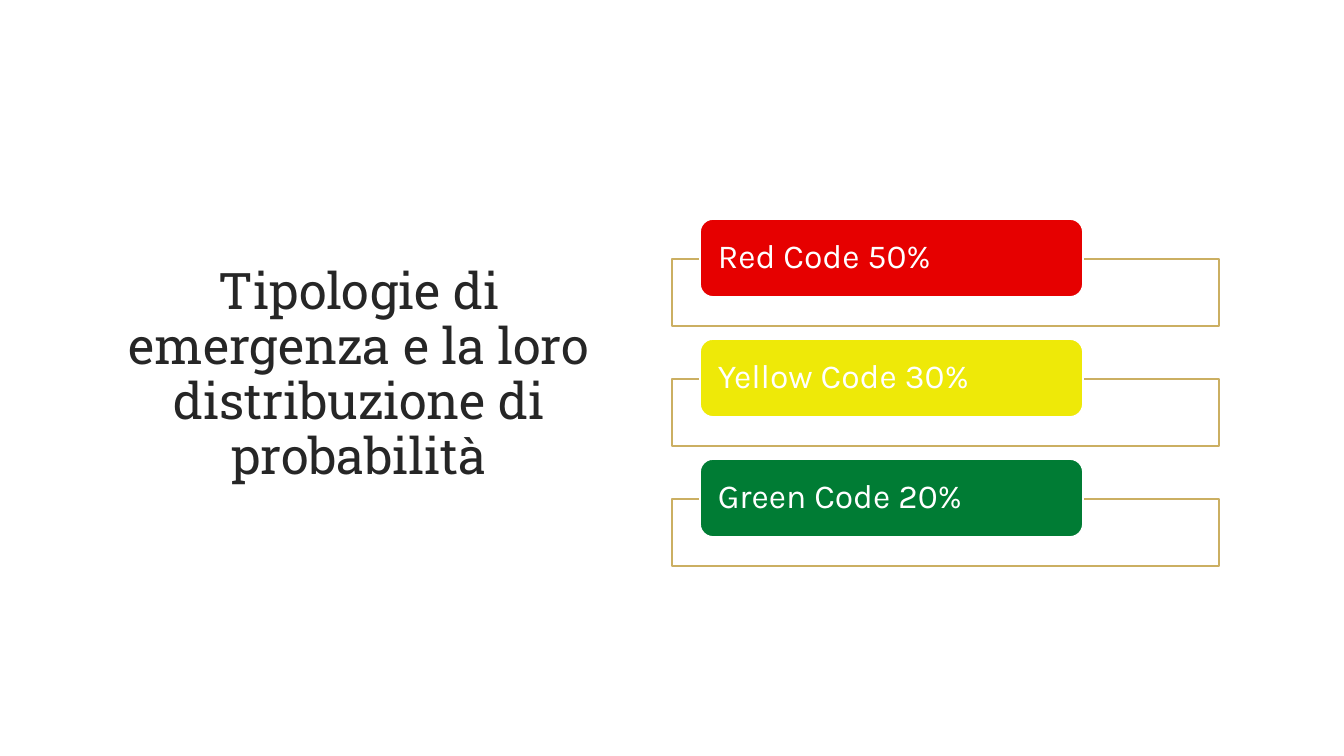
from pptx import Presentation
from pptx.dml.color import RGBColor
from pptx.enum.shapes import MSO_SHAPE as Shape
from pptx.enum.text import MSO_ANCHOR as Anchor, PP_ALIGN as Align
from pptx.oxml.ns import qn
from pptx.util import Pt
from lxml.etree import SubElement

PX = 914400 / 100.8
CODES = [
    ("Red Code 50%", "E60000"),
    ("Yellow Code 30%", "EEE908"),
    ("Green Code 20%", "007C34"),
]


def px(length):
    return round(length * PX)


def color(value):
    return RGBColor.from_string(value)


def style_text(para, size, font, value, align, spacing):
    para.font.size = Pt(size)
    para.font.name = font
    para.font.color.rgb = color(value)
    para.alignment = align
    para.line_spacing = spacing


def add_panel(page, kind, left, top, width, height, fill, line):
    panel = page.shapes.add_shape(kind, px(left), px(top), px(width), px(height))
    panel.shadow.inherit = False
    panel.fill.solid()
    panel.fill.fore_color.rgb = color(fill)
    panel.line.color.rgb = color(line)
    panel.line.width = Pt(1.25)
    return panel


def place_title(page, left, top, width, height):
    title = page.shapes.title
    title.left, title.top = px(left), px(top)
    title.width, title.height = px(width), px(height)
    frame = title.text_frame
    frame.text = "Tipologie di emergenza e la loro distribuzione di probabilità"
    frame.word_wrap = True
    frame.vertical_anchor = Anchor.TOP
    style_text(frame.paragraphs[0], 36, "Roboto Slab", "262626", Align.CENTER, 0.91)


def add_code(page, left, top, width, label, fill):
    frame = add_panel(page, Shape.RECTANGLE, left, top + 40, width, 67, "FFFFFF", "CBAF62")
    tint = frame.fill._xPr.find(qn("a:solidFill"))[0]
    SubElement(tint, qn("a:alpha")).set("val", "90000")

    pill = add_panel(page, Shape.ROUNDED_RECTANGLE, left + 28, top, 383, 78, fill, "FFFFFF")
    text = pill.text_frame
    text.text = label
    text.word_wrap = True
    text.vertical_anchor = Anchor.MIDDLE
    text.margin_left = text.margin_right = px(14)
    text.margin_top = text.margin_bottom = 0
    style_text(text.paragraphs[0], 24, "Karla", "FFFFFF", Align.LEFT, 0.9)


def add_code_list(page, left, top, width, pitch):
    for index, (label, fill) in enumerate(CODES):
        add_code(page, left, top + index * pitch, width, label, fill)


def main():
    deck = Presentation()
    deck.slide_width, deck.slide_height = px(1344), px(756)
    page = deck.slides.add_slide(deck.slide_layouts[5])
    place_title(page, 94, 260, 530, 267)
    add_code_list(page, 672, 219, 547, 120)
    deck.save("out.pptx")


if __name__ == "__main__":
    main()
